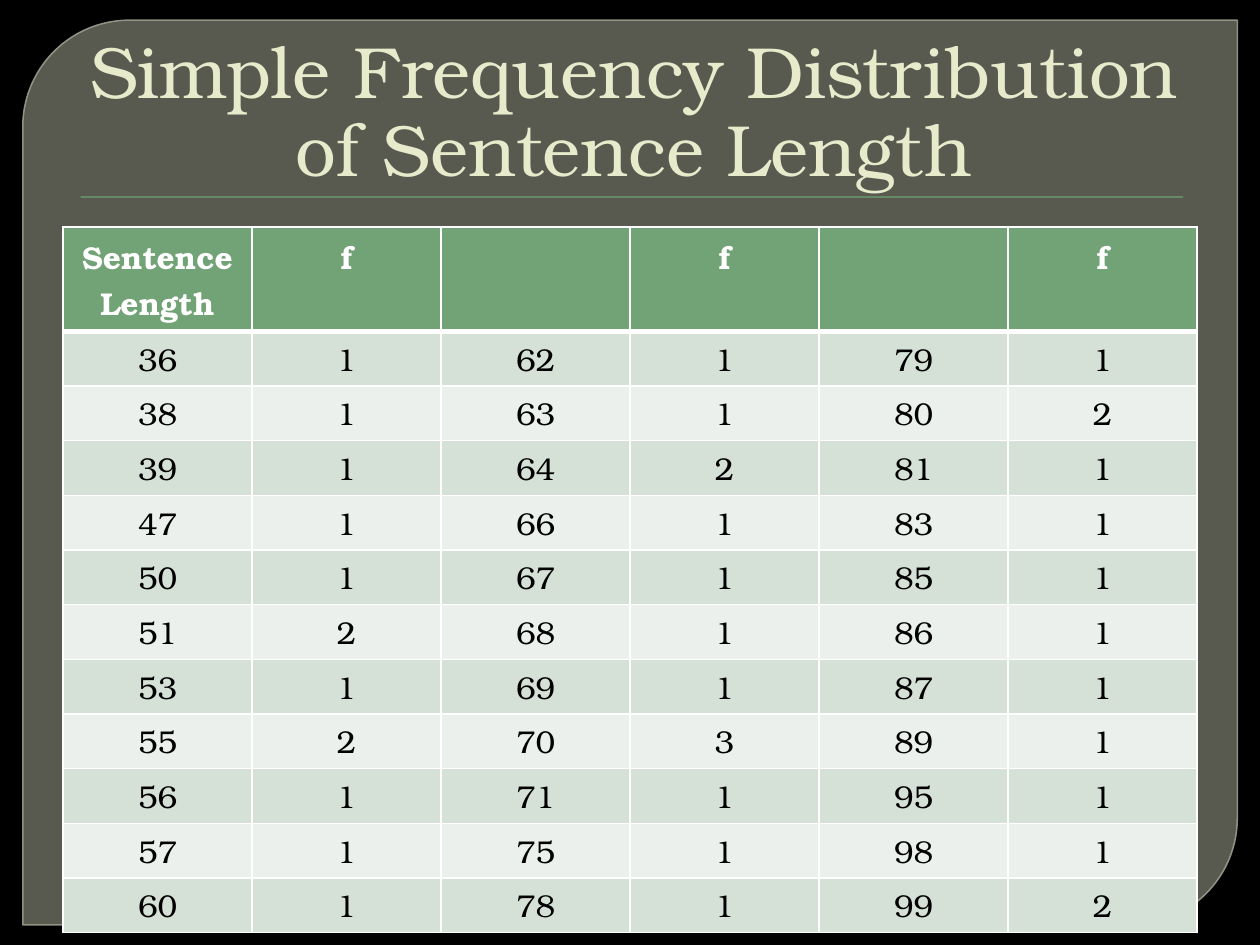
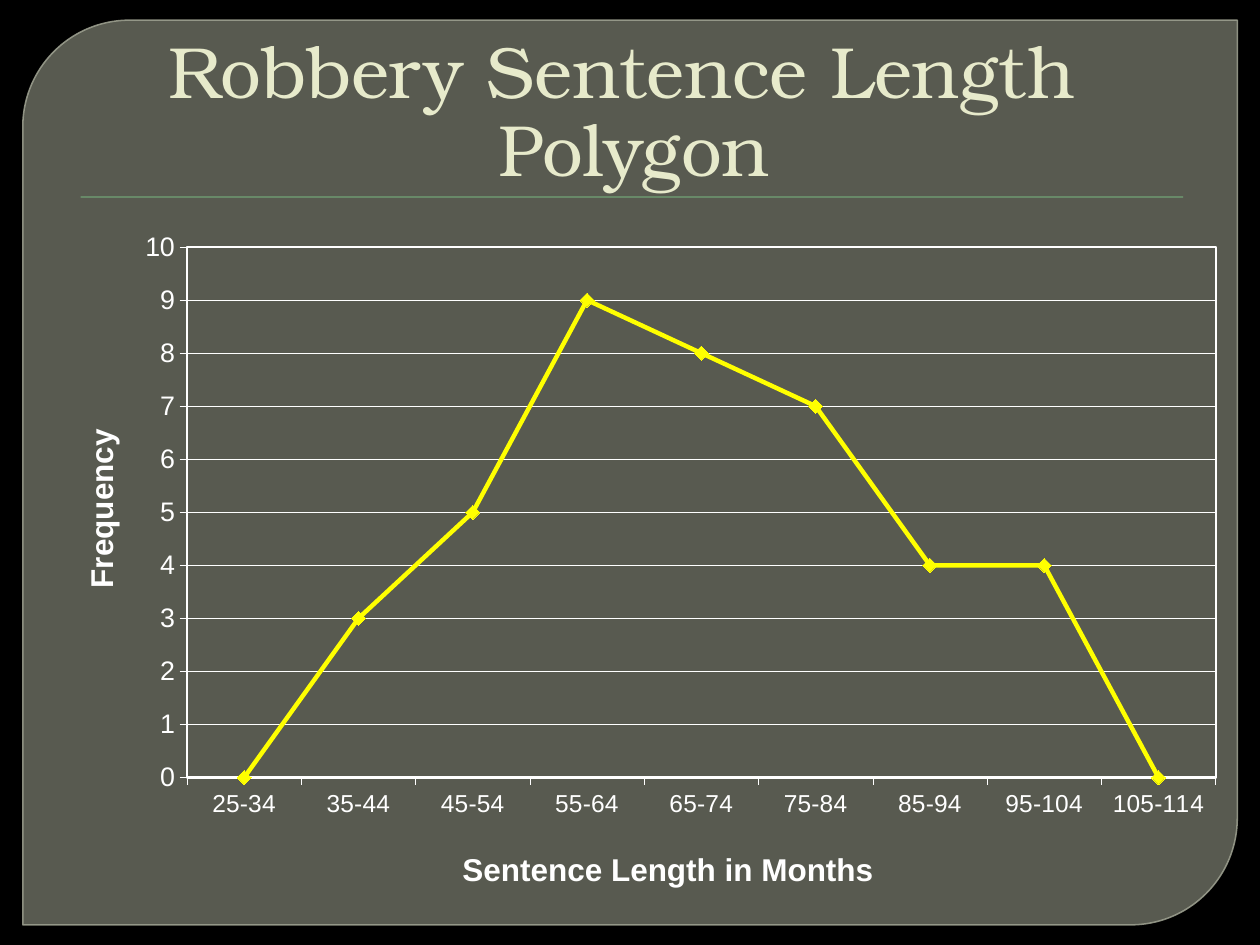
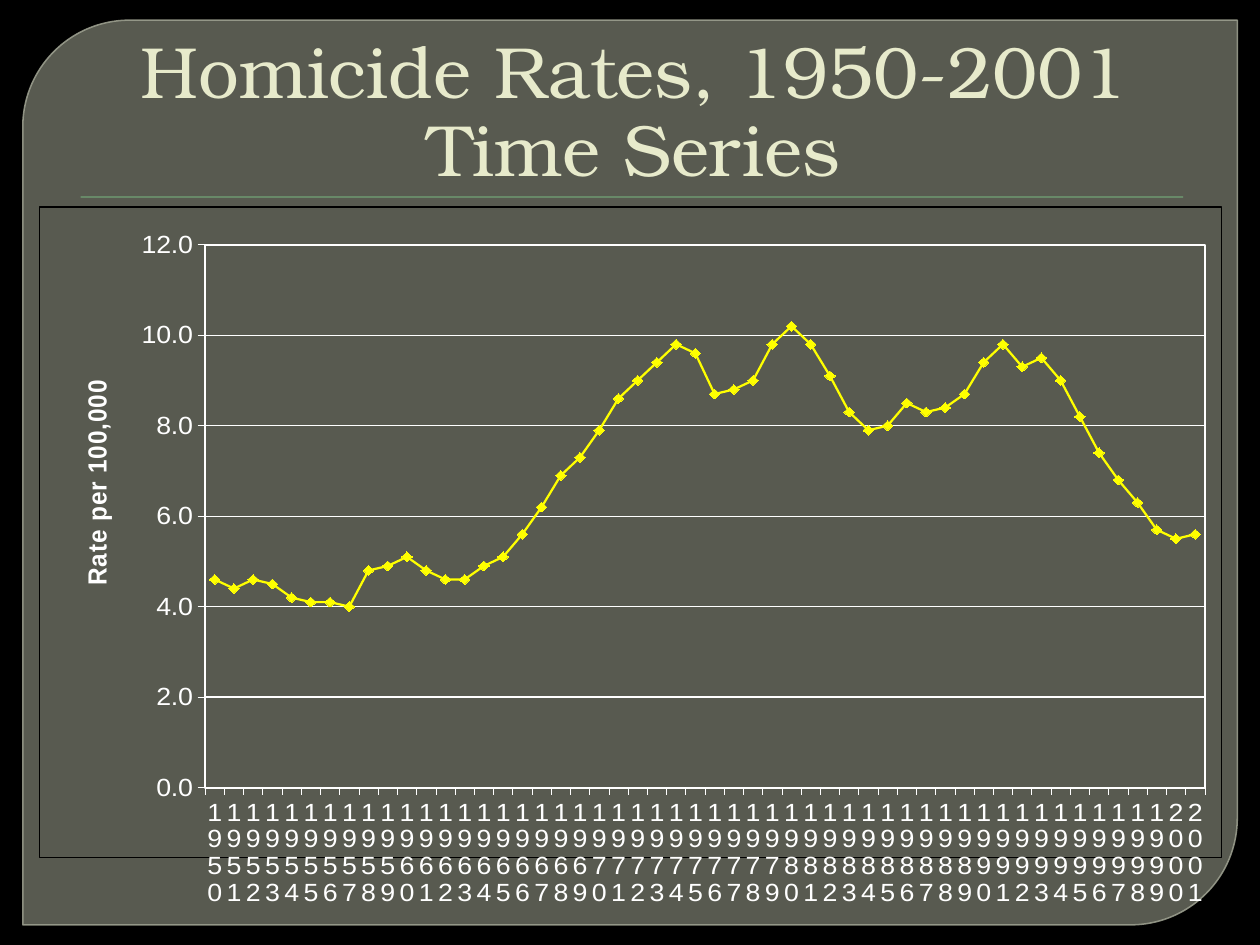
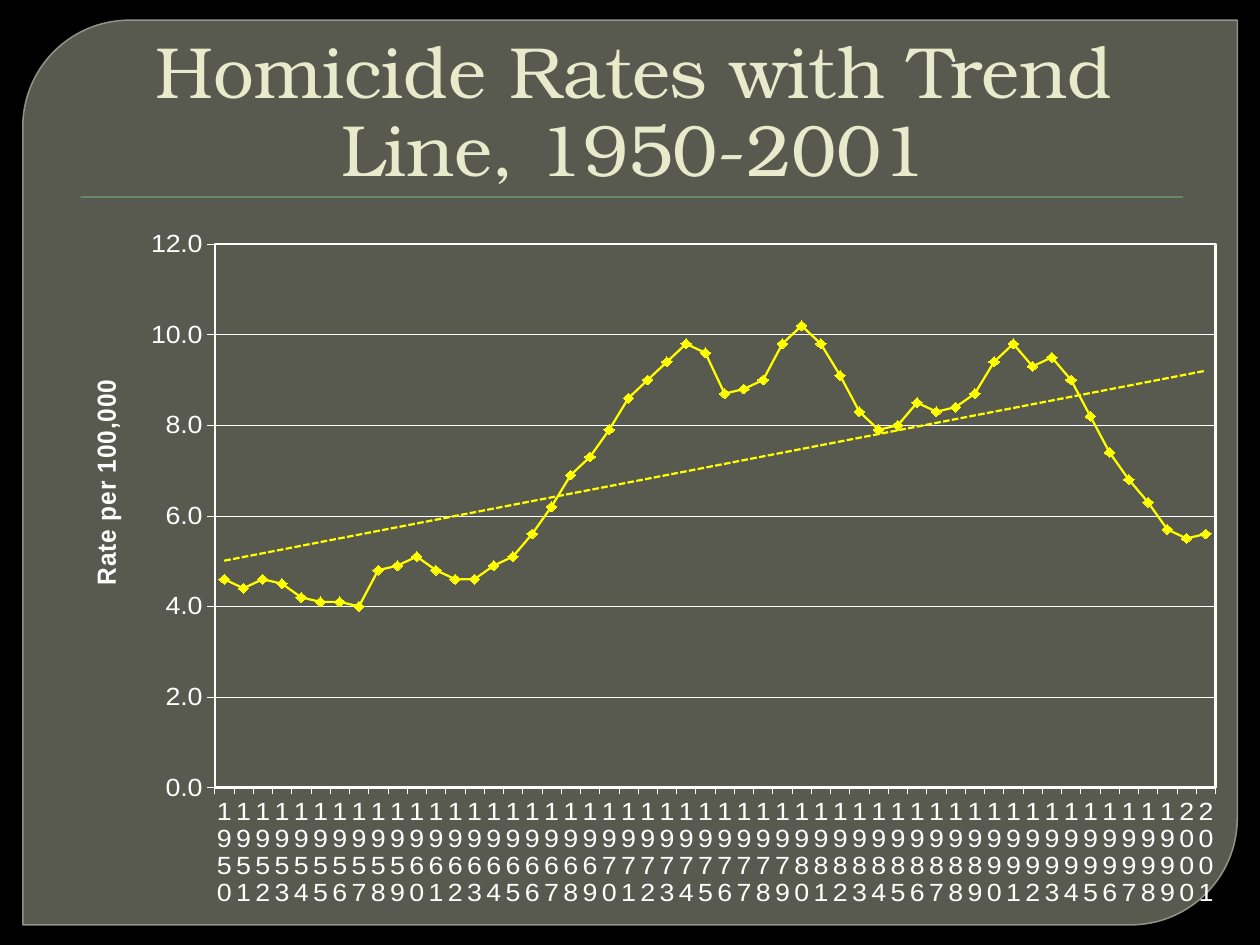
from dataclasses import dataclass

from lxml.etree import SubElement
from pptx import Presentation
from pptx.chart.data import CategoryChartData
from pptx.dml.color import RGBColor
from pptx.enum.chart import XL_CHART_TYPE, XL_MARKER_STYLE, XL_TICK_MARK
from pptx.enum.shapes import MSO_SHAPE
from pptx.enum.text import MSO_ANCHOR, MSO_AUTO_SIZE, PP_ALIGN
from pptx.oxml import parse_xml
from pptx.oxml.ns import nsdecls, qn
from pptx.util import Pt


@dataclass(frozen=True)
class Theme:
    """Colours, fonts and type sizes shared by all slides."""
    black: str = "000000"
    white: str = "FFFFFF"
    panel: str = "888B7B"
    panel_line: str = "9DA090"
    green: str = "72A376"
    band_dark: str = "D5E0D6"
    band_light: str = "EBF0EC"
    title: str = "E7EACB"
    yellow: str = "FFFF00"
    serif: str = "TeX Gyre Bonum"
    sans: str = "Arial"
    chart_font: str = "Times New Roman"
    title_size: float = 41.4
    cell_size: float = 18
    chart_size: float = 22.9
    axis_size: float = 15.3


T = Theme()

SENTENCES = [
    ["Sentence Length", "f", "", "f", "", "f"],
    [36, 1, 62, 1, 79, 1],
    [38, 1, 63, 1, 80, 2],
    [39, 1, 64, 2, 81, 1],
    [47, 1, 66, 1, 83, 1],
    [50, 1, 67, 1, 85, 1],
    [51, 2, 68, 1, 86, 1],
    [53, 1, 69, 1, 87, 1],
    [55, 2, 70, 3, 89, 1],
    [56, 1, 71, 1, 95, 1],
    [57, 1, 75, 1, 98, 1],
    [60, 1, 78, 1, 99, 2],
]
LENGTH_GROUPS = [f"{low}-{low + 9}" for low in range(25, 106, 10)]
LENGTH_COUNTS = [0, 3, 5, 9, 8, 7, 4, 4, 0]
YEARS = [str(year) for year in range(1950, 2002)]
HOMICIDE_RATES = [
    4.6, 4.4, 4.6, 4.5, 4.2, 4.1, 4.1, 4, 4.8, 4.9, 5.1, 4.8, 4.6,
    4.6, 4.9, 5.1, 5.6, 6.2, 6.9, 7.3, 7.9, 8.6, 9, 9.4, 9.8, 9.6,
    8.7, 8.8, 9, 9.8, 10.2, 9.8, 9.1, 8.3, 7.9, 8, 8.5, 8.3, 8.4,
    8.7, 9.4, 9.8, 9.3, 9.5, 9, 8.2, 7.4, 6.8, 6.3, 5.7, 5.5, 5.6,
]


def rgb(color):
    """Return the colour object for a hex string."""
    return RGBColor.from_string(color)


def set_font(font, size, color, name, bold=False):
    """Format a font."""
    font.size, font.name, font.bold = Pt(size), name, bold
    font.color.rgb = rgb(color)


def set_line(line, color, width):
    """Give a line its colour and width."""
    line.color.rgb = rgb(color)
    line.width = Pt(width)


def write(tf, text, size=T.cell_size, color=T.black, name=T.serif, bold=False,
          align=PP_ALIGN.CENTER, spacing=None):
    """Put formatted text in the first paragraph of a text frame."""
    p = tf.paragraphs[0]
    p.text = text.replace("\n", "\v")
    p.alignment = align
    if spacing:
        p.line_spacing = spacing
    for r in p.runs:
        set_font(r.font, size, color, name, bold)


def line_xml(color, width, tag="a:ln", dash="solid"):
    """Return the XML of a coloured line, or of no line without a colour."""
    if not color:
        return f"<{tag}><a:noFill/></{tag}>"
    return (f'<{tag} w="{Pt(width)}"><a:solidFill><a:srgbClr val="{color}"/></a:solidFill>'
            f'<a:prstDash val="{dash}"/></{tag}>')


def outline(color=None, width=0.75, dash="solid"):
    """Return chart shape properties with no fill and the given line."""
    return parse_xml(f'<c:spPr {nsdecls("c", "a")}><a:noFill/>'
                     f'{line_xml(color, width, dash=dash)}</c:spPr>')


def add_block(s, kind, box, fill):
    """Add a filled shape without line or shadow."""
    sp = s.shapes.add_shape(kind, *map(Pt, box))
    sp.shadow.inherit = False
    sp.fill.solid()
    sp.fill.fore_color.rgb = rgb(fill)
    sp.line.fill.background()
    return sp


def decorate_layout(layout, s):
    """Give the layout its background, panel and title rule, drawn by way of slide s."""
    layout.background.fill.solid()
    layout.background.fill.fore_color.rgb = rgb(T.black)
    panel = add_block(s, MSO_SHAPE.ROUND_2_DIAG_RECTANGLE, (13, 11.5, 694, 517), T.panel)
    panel.adjustments[0], panel.adjustments[1] = 0.118, 0
    set_line(panel.line, T.panel_line, 0.87)
    for clr, alpha in zip(panel.element.xpath(".//a:srgbClr"), (65, 88)):
        SubElement(clr, qn("a:alpha"), val=str(alpha * 1000))
    rule = add_block(s, MSO_SHAPE.RECTANGLE, (46.1, 112.2, 630, 0.72), T.green)
    rule.element.xpath(".//a:effectLst")[0].append(parse_xml(
        f'<a:outerShdw {nsdecls("a")} blurRad="{Pt(1)}" dist="{Pt(1)}" dir="5400000">'
        f'<a:srgbClr val="{T.black}"><a:alpha val="75000"/></a:srgbClr></a:outerShdw>'))
    for i, sp in enumerate((panel, rule)):
        layout.shapes.element.insert(2 + i, sp.element)


def add_title(s, text):
    """Place and fill the title placeholder."""
    sp = s.shapes.title
    sp.left, sp.top, sp.width, sp.height = map(Pt, (36, 20, 648, 90))
    tf = sp.text_frame
    tf.word_wrap = True
    tf.auto_size = MSO_AUTO_SIZE.NONE
    tf.vertical_anchor = MSO_ANCHOR.MIDDLE
    write(tf, text, T.title_size, T.title, spacing=0.9)
    pPr = sp.element.xpath(".//a:pPr")[0]
    pPr.set("marL", str(Pt(4.32)))
    pPr.set("indent", "0")


def add_grid(s, rows, left, top, col_width, row_height):
    """Add a banded table with a header row and white borders."""
    cols = len(rows[0])
    frame = s.shapes.add_table(len(rows), cols, Pt(left), Pt(top),
                               Pt(col_width * cols), Pt(row_height * len(rows)))
    table = frame.table
    for i, values in enumerate(rows):
        table.rows[i].height = Pt(row_height)
        band = T.band_dark if i % 2 else T.band_light
        for j, value in enumerate(values):
            cell = table.cell(i, j)
            cell.fill.solid()
            cell.fill.fore_color.rgb = rgb(band if i else T.green)
            write(cell.text_frame, str(value), color=T.black if i else T.white, bold=i == 0)
    for n, tcPr in enumerate(frame.element.xpath(".//a:tcPr")):
        row = n // cols
        widths = {"L": 1, "R": 1, "T": 3 if row == 1 else 1, "B": 1 if row else 3}
        for k, (side, width) in enumerate(widths.items()):
            tcPr.insert(k, parse_xml(line_xml(
                T.white, width, f"a:ln{side}").replace(" ", f' {nsdecls("a")} ', 1)))


def place(parent, x, y, w=None, h=None):
    """Set the manual layout of a chart part, in fractions of the chart."""
    layout = parent.find(qn("c:layout"))
    if layout is None:
        layout = parent.makeelement(qn("c:layout"))
        parent.insert(0, layout)
    manual = SubElement(layout, qn("c:manualLayout"))
    settings = {"xMode": "edge", "yMode": "edge", "x": x, "y": y}
    if w:
        settings = {"layoutTarget": "inner", **settings, "w": w, "h": h}
    for key, value in settings.items():
        SubElement(manual, qn(f"c:{key}"), val=str(value))


def format_axis(axis, size):
    """Give an axis its ticks, line and label font."""
    axis.major_tick_mark = XL_TICK_MARK.OUTSIDE
    axis.minor_tick_mark = XL_TICK_MARK.NONE
    set_line(axis.format.line, T.white, 0.32)
    set_font(axis.tick_labels.font, size, T.white, T.sans)


def title_axis(axis, text, size, x, y):
    """Add an axis title at a given place."""
    write(axis.axis_title.text_frame, text, size, T.white, T.sans, bold=True)
    place(axis.axis_title.element, x, y)


def add_line_chart(s, cats, vals, left, width, plot, top_value, step, number_format="General",
                   cat_size=T.axis_size, line_width=1.27, marker_size=6, grid_width=0.32):
    """Add a yellow line chart with markers and return it."""
    data = CategoryChartData()
    data.categories = cats
    data.add_series("Series 1", vals)
    chart = s.shapes.add_chart(XL_CHART_TYPE.LINE_MARKERS, Pt(left), Pt(118),
                               Pt(width), Pt(400), data).chart
    chart.has_title = chart.has_legend = False
    set_font(chart.font, T.chart_size, T.white, T.chart_font, bold=True)
    chart.plots[0].vary_by_categories = False

    series = chart.plots[0].series[0]
    series.smooth = False
    set_line(series.format.line, T.yellow, line_width)
    marker = series.marker
    marker.style, marker.size = XL_MARKER_STYLE.DIAMOND, marker_size
    marker.format.fill.solid()
    marker.format.fill.fore_color.rgb = rgb(T.yellow)
    set_line(marker.format.line, T.yellow, 0.75)

    format_axis(chart.category_axis, cat_size)
    axis = chart.value_axis
    format_axis(axis, T.axis_size)
    axis.minimum_scale, axis.maximum_scale, axis.major_unit = 0, top_value, step
    axis.tick_labels.number_format = number_format
    axis.tick_labels.number_format_is_linked = False
    set_line(axis.major_gridlines.format.line, T.white, grid_width)

    root = chart.element
    plot_area = root.xpath("c:chart/c:plotArea")[0]
    place(plot_area, *plot)
    plot_area.append(outline(T.white, 1.27))
    body = root.xpath(".//c:catAx/c:txPr/a:bodyPr")[0]
    body.set("rot", "0")
    body.set("vert", "horz")
    skip = parse_xml(f'<c:tickLblSkip {nsdecls("c")} val="1"/>')
    root.xpath(".//c:catAx/c:noMultiLvlLbl")[0].addprevious(skip)
    return chart


def title_value_axis(chart, text, size, x, y):
    """Add an upright title to the value axis."""
    title_axis(chart.value_axis, text, size, x, y)
    body = chart.element.xpath(".//c:valAx/c:title//a:bodyPr")[0]
    body.set("rot", "-5400000")
    body.set("vert", "horz")


def set_border(chart, color=None):
    """Clear the chart background and draw its border, if any."""
    chart.element.xpath("c:chart")[0].addnext(outline(color))


def add_trend(chart):
    """Add a dashed linear trend line to the series."""
    trend = parse_xml(f'<c:trendline {nsdecls("c")}><c:trendlineType val="linear"/>'
                      '<c:dispRSqr val="0"/><c:dispEq val="0"/></c:trendline>')
    trend.insert(0, outline(T.yellow, 1.27, "sysDash"))
    chart.element.xpath(".//c:ser/c:cat")[0].addprevious(trend)


def add_homicide_chart(s, left, border=None, grid_width=0.32):
    """Add the chart of yearly homicide rates."""
    chart = add_line_chart(s, YEARS, HOMICIDE_RATES, left, 676, (0.14, 0.058, 0.846, 0.835),
                           12, 2, "0.0", grid_width=grid_width)
    title_value_axis(chart, "Rate per 100,000", 15, 0.03, 0.28)
    set_border(chart, border)
    return chart


def add_polygon_chart(s):
    """Add the frequency polygon of sentence lengths."""
    chart = add_line_chart(s, LENGTH_GROUPS, LENGTH_COUNTS, 22.3, 682,
                           (0.124, 0.058, 0.862, 0.758), 10, 1, cat_size=14,
                           line_width=2.55, marker_size=8)
    title_value_axis(chart, "Frequency", 18, 0.03, 0.31)
    title_axis(chart.category_axis, "Sentence Length in Months", 18, 0.35, 0.91)
    set_border(chart)


def main():
    """Build the four slides."""
    prs = Presentation()
    prs.slide_width, prs.slide_height = Pt(720), Pt(540)
    layout = prs.slide_layouts.get_by_name("Title Only")
    titles = ["Simple Frequency Distribution of Sentence Length",
              "Robbery Sentence Length \nPolygon",
              "Homicide Rates, 1950-2001\nTime Series",
              "Homicide Rates with Trend Line, 1950-2001"]
    slides = [prs.slides.add_slide(layout) for _ in titles]
    decorate_layout(layout, slides[0])
    for s, text in zip(slides, titles):
        add_title(s, text)
    table_slide, polygon_slide, series_slide, trend_slide = slides
    add_grid(table_slide, SENTENCES, 36, 129.6, 108, 30)
    add_polygon_chart(polygon_slide)
    add_homicide_chart(series_slide, 22.3, T.black, 0.75)
    add_trend(add_homicide_chart(trend_slide, 28))
    prs.save("out.pptx")


if __name__ == "__main__":
    main()
